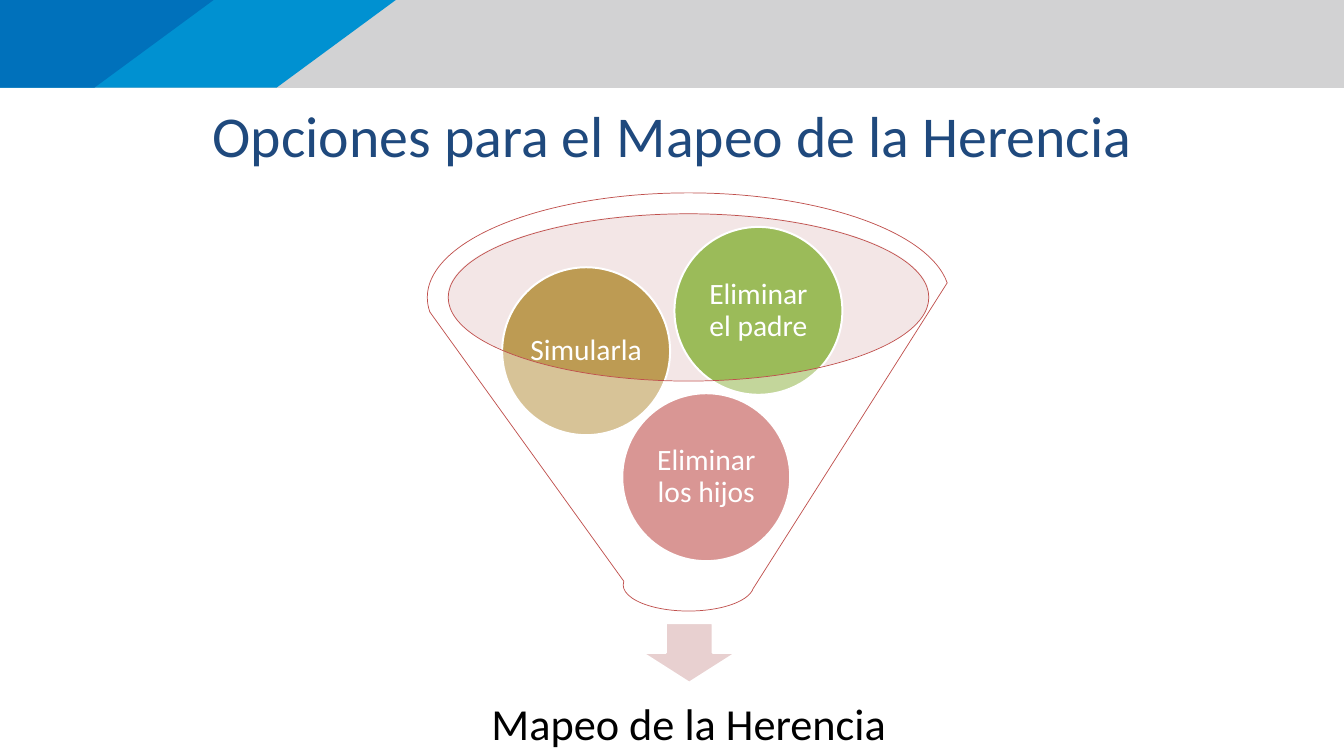
"""Build the slide on options for mapping inheritance, shown as a funnel."""
from lxml.etree import SubElement
from pptx import Presentation
from pptx.dml.color import RGBColor
from pptx.enum.shapes import MSO_SHAPE
from pptx.enum.text import MSO_ANCHOR, PP_ALIGN
from pptx.oxml.ns import qn
from pptx.util import Pt


def paint(shape, fill, line=None, width=0, alpha=None):
    shape.shadow.inherit = False
    shape.fill.solid()
    shape.fill.fore_color.rgb = RGBColor.from_string(fill)
    if alpha:
        color = shape._element.spPr.find(qn("a:solidFill"))[0]
        SubElement(color, qn("a:alpha")).set("val", str(alpha * 1000))
    if line:
        shape.line.color.rgb = RGBColor.from_string(line)
        shape.line.width = Pt(width)
    else:
        shape.line.fill.background()


def write(shape, text, size, color, inset, space=0.9):
    frame = shape.text_frame
    frame.text = text
    frame.word_wrap = True
    frame.vertical_anchor = MSO_ANCHOR.MIDDLE
    frame.margin_left = frame.margin_right = Pt(inset)
    frame.margin_top = frame.margin_bottom = Pt(inset)
    para = frame.paragraphs[0]
    para.alignment = PP_ALIGN.CENTER
    para.line_spacing = space
    font = para.runs[0].font
    font.name = "Calibri"
    font.size = Pt(size)
    font.color.rgb = RGBColor.from_string(color)


deck = Presentation()
deck.slide_width, deck.slide_height = Pt(1365), Pt(768)
slide = deck.slides.add_slide(deck.slide_layouts[6])
shapes = slide.shapes

high = 89.3
band = shapes.add_shape(MSO_SHAPE.RECTANGLE, 0, 0, Pt(1365), Pt(high))
paint(band, "D2D2D3")
for top, low, fill in [(402, 281, "0091D1"), (217, 96.5, "0071BB")]:
    pen = shapes.build_freeform(0, 0, scale=Pt(1))
    pen.add_line_segments([(top, 0), (low, high), (0, high)])
    paint(pen.convert_to_shape(), fill)

title = shapes.add_textbox(Pt(102), Pt(101), Pt(1161), Pt(71))
write(title, "Opciones para el Mapeo de la Herencia", 58.7, "1F497D", 0, 1)

mouth = shapes.add_shape(
    MSO_SHAPE.OVAL, Pt(454.5), Pt(216.5), Pt(489.5), Pt(170))
paint(mouth, "E2C2C2", alpha=40)
arrow = shapes.add_shape(
    MSO_SHAPE.DOWN_ARROW, Pt(652.5), Pt(633), Pt(95), Pt(60.5))
paint(arrow, "E8D0D0", "FFFFFF", 2)
result = shapes.add_textbox(Pt(472), Pt(681), Pt(455), Pt(114))
write(result, "Mapeo de la Herencia", 45, "000000", 25)

options = [
    ("Eliminar los hijos", 632, 399.5, "C0504D"),
    ("Simularla", 510, 271.5, "BD9B53"),
    ("Eliminar el padre", 685, 230.5, "9BBB59"),
]
for text, left, top, fill in options:
    ball = shapes.add_shape(
        MSO_SHAPE.OVAL, Pt(left), Pt(top), Pt(170.6), Pt(170.6))
    paint(ball, fill, "FFFFFF", 2)
    write(ball, text, 30, "FFFFFF", 3)

funnel = shapes.add_shape(
    MSO_SHAPE.FUNNEL, Pt(434), Pt(196), Pt(530.6), Pt(424.8))
paint(funnel, "FFFFFF", "C0504D", 0.75, 40)

deck.save("out.pptx")
